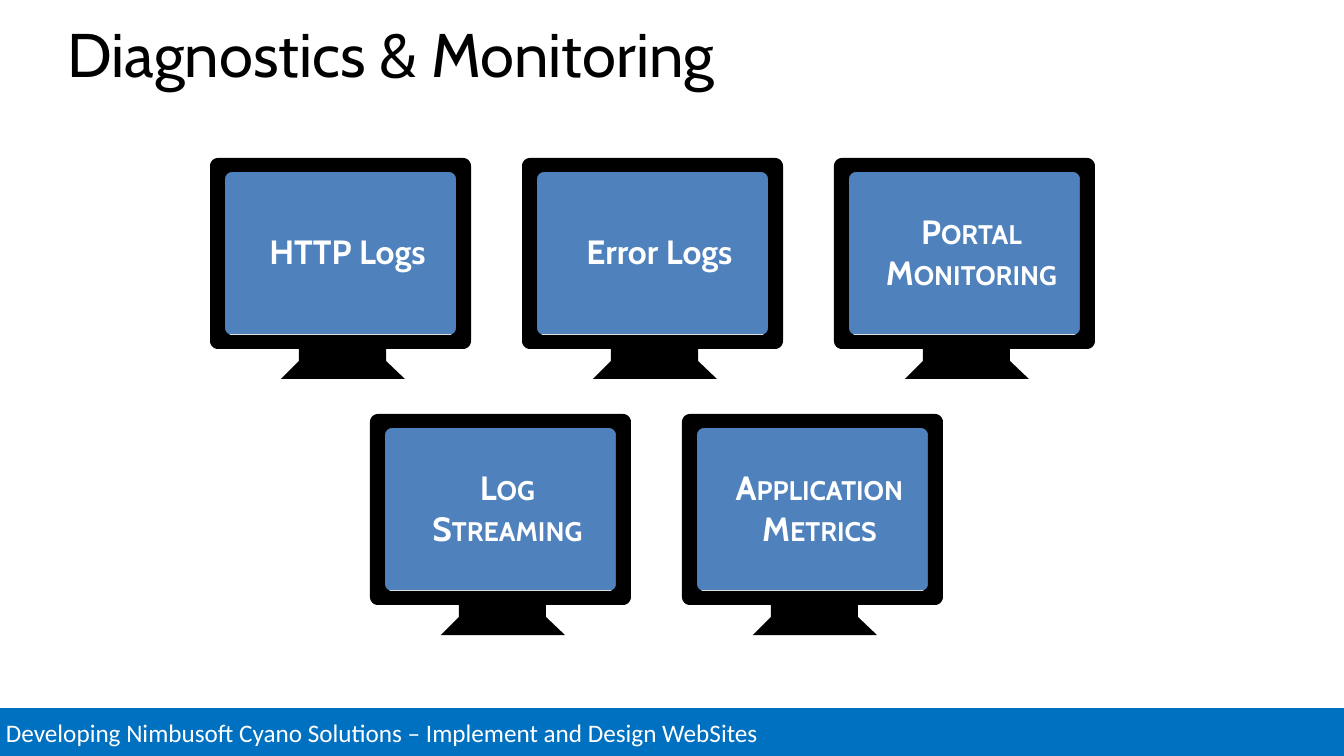
import math
from pptx import Presentation, util as u
from pptx.dml.color import RGBColor
from pptx.enum import shapes, text

PX = 12192000 / 1344  # EMU in one px
MONITOR_W, MONITOR_H = 261, 221
STEP = 312            # from one monitor to the next in a row


def px(n):
    return u.Emu(round(n * PX))


def rgb(hex_color):
    return RGBColor.from_string(hex_color)


def paint(shape, fill, line=None, width=0):
    shape.shadow.inherit = False
    shape.fill.solid()
    shape.fill.fore_color.rgb = rgb(fill)
    if line:
        shape.line.color.rgb = rgb(line)
        shape.line.width = u.Pt(width)
    else:
        shape.line.fill.background()


def write(frame, words, font_name, size, color, align, bold=False):
    frame.word_wrap = True
    paragraph = frame.paragraphs[0]
    run = paragraph.add_run()
    run.text = words
    paragraph.alignment = align
    font = paragraph.font
    font.name, font.size, font.bold = font_name, u.Pt(size), bold
    font.color.rgb = rgb(color)
    return run


def arc(cx, cy, radius, start):
    """Quarter turn, clockwise on the slide, from start degrees."""
    angles = [math.radians(start + 15 * i) for i in range(7)]
    return [(cx + radius * math.cos(a), cy + radius * math.sin(a)) for a in angles]


def add_footer(slide, left, top, width, height):
    band = slide.shapes.add_shape(shapes.MSO_SHAPE.RECTANGLE,
                                  px(left), px(top), px(width), px(height))
    paint(band, "0070C0", "FFFFFF", 2)
    band.text_frame.vertical_anchor = text.MSO_ANCHOR.MIDDLE
    write(band.text_frame, "Developing Nimbusoft Cyano Solutions – Implement and Design WebSites",
          "Calibri", 18, "FFFFFF", text.PP_ALIGN.LEFT)


def add_title(slide, left, top, width, height):
    title = slide.shapes.title
    title.left, title.top = px(left), px(top)
    title.width, title.height = px(width), px(height)
    title.text_frame.vertical_anchor = text.MSO_ANCHOR.TOP
    title.text_frame.auto_size = text.MSO_AUTO_SIZE.NONE
    write(title.text_frame, "Diagnostics & Monitoring",
          "Cabin", 44, "000000", text.PP_ALIGN.LEFT)
    title.text_frame.paragraphs[0].line_spacing = 0.8


def add_monitor(slide, left, top, label, small_caps):
    # Screen with its label
    screen = slide.shapes.add_shape(shapes.MSO_SHAPE.RECTANGLE,
                                    px(left + 8), px(top + 11), px(245), px(165))
    paint(screen, "4F81BD")
    frame = screen.text_frame
    frame.margin_left = px(27)
    frame.margin_top = frame.margin_right = frame.margin_bottom = px(13)
    frame.vertical_anchor = text.MSO_ANCHOR.MIDDLE
    run = write(frame, label, "Cabin", 24, "FFFFFF", text.PP_ALIGN.CENTER, bold=True)
    if small_caps:
        run._r.get_or_add_rPr().set("cap", "small")

    # Casing and stand, open at the screen
    right, base, r = MONITOR_W, 191, 8
    stand = [(176, base), (176, 203), (195, MONITOR_H),
             (71, MONITOR_H), (89, 203), (89, base)]
    casing = (arc(r, r, r, 180) + arc(right - r, r, r, 270)
              + arc(right - r, base - r, r, 0) + stand + arc(r, base - r, r, 90))
    x1, y1, x2, y2, r = 15, 14, 246, 177, 7
    opening = (arc(x1 + r, y1 + r, r, 180) + arc(x2 - r, y1 + r, r, 270)
               + arc(x2 - r, y2 - r, r, 0) + arc(x1 + r, y2 - r, r, 90))[::-1]
    casing, opening = ([(px(x), px(y)) for x, y in outline]
                       for outline in (casing, opening))
    builder = slide.shapes.build_freeform(*casing[0])
    builder.add_line_segments(casing[1:], close=True)
    builder.move_to(*opening[0])
    builder.add_line_segments(opening[1:], close=True)
    paint(builder.convert_to_shape(px(left), px(top)), "000000")


def add_monitor_row(slide, left, top, labels):
    for i, (label, small_caps) in enumerate(labels):
        add_monitor(slide, left + i * STEP, top, label, small_caps)


def main():
    prs = Presentation()
    prs.slide_width, prs.slide_height = px(1344), px(756)
    slide = prs.slides.add_slide(prs.slide_layouts[5])
    add_footer(slide, -4, 707, 1351, 51)
    add_title(slide, 57, 25, 1230, 85)
    add_monitor_row(slide, 210, 158, [("HTTP Logs", False), ("Error Logs", False),
                                      ("Portal Monitoring", True)])
    add_monitor_row(slide, 370, 414, [("Log Streaming", True),
                                      ("Application Metrics", True)])
    prs.save("out.pptx")


if __name__ == "__main__":
    main()
